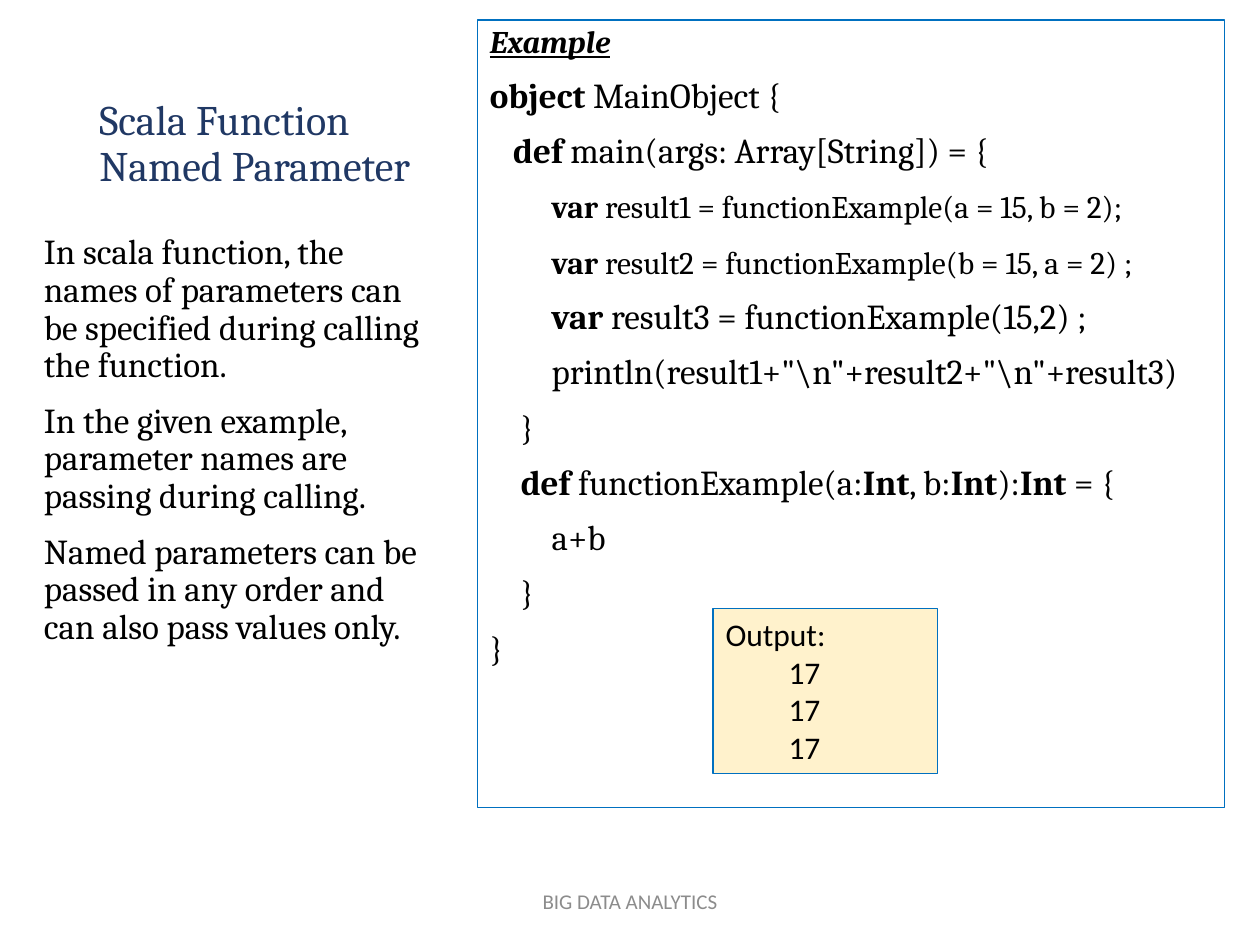
"""Build a slide on named parameters in Scala functions."""
import pptx
import pptx.dml.color
import pptx.enum.shapes
import pptx.enum.text
import pptx.util

Anchor = pptx.enum.text.MSO_ANCHOR
THEME = {
    "serif": "Cambria", "sans": "Calibri",
    "title": "203864", "ink": "000000", "muted": "8C8C8C",
    "border": "0070C0", "output": "FFF2CC",
    "title_size": 24, "body_size": 20, "small_size": 18, "footer_size": 12,
}

deck = pptx.Presentation()
deck.slide_width = pptx.util.Inches(10)
deck.slide_height = pptx.util.Inches(7.5)
page = deck.slides.add_slide(deck.slide_layouts[6])
column = deck.slide_width / 100
row = deck.slide_height / 75


def add_box(left, top, width, height, anchor=Anchor.TOP, bordered=False, fill=None):
    place = [int(left * column), int(top * row), int(width * column), int(height * row)]
    if bordered:
        box = page.shapes.add_shape(pptx.enum.shapes.MSO_SHAPE.RECTANGLE, *place)
        box.shadow.inherit = False
        box.line.color.rgb = pptx.dml.color.RGBColor.from_string(THEME["border"])
        box.line.width = pptx.util.Pt(0.75)
        box.fill.background()
        if fill:
            box.fill.solid()
            box.fill.fore_color.rgb = pptx.dml.color.RGBColor.from_string(THEME[fill])
    else:
        box = page.shapes.add_textbox(*place)
    box.text_frame.word_wrap = True
    box.text_frame.vertical_anchor = anchor
    return box


def style(box, face, size, color, line_spacing=1.0, space_before=0):
    for number, para in enumerate(box.text_frame.paragraphs):
        para.alignment = pptx.enum.text.PP_ALIGN.LEFT
        para.line_spacing = line_spacing
        para.space_before = pptx.util.Pt(space_before if number else 0)
        for span in para.runs:
            span.font.name = THEME[face]
            span.font.size = span.font.size or pptx.util.Pt(THEME[size])
            span.font.color.rgb = pptx.dml.color.RGBColor.from_string(THEME[color])


title = add_box(6.9, 5, 32.3, 10.6, Anchor.BOTTOM)
title.text_frame.text = "Scala Function Named Parameter"
style(title, "serif", "title_size", "title", 0.9)

CODE = [
    ("*object* MainObject {", "body_size"),
    ("   *def* main(args: Array[String]) = {", "body_size"),
    ("        *var* result1 = functionExample(a = 15, b = 2);", "small_size"),
    ("        *var* result2 = functionExample(b = 15, a = 2) ;", "small_size"),
    ("        *var* result3 = functionExample(15,2) ;", "body_size"),
    ('        println(result1+"\\n"+result2+"\\n"+result3)', "body_size"),
    ("    }", "body_size"),
    ("    *def *functionExample(a:*Int*, b:*Int*):*Int* = {", "body_size"),
    ("        a+b", "body_size"),
    ("    }", "body_size"),
    ("}", "body_size"),
]
example = add_box(37.9, 1.6, 59.3, 62.5, bordered=True)
example.text_frame.text = "Example"
heading = example.text_frame.paragraphs[0].runs[0].font
heading.size = pptx.util.Pt(THEME["small_size"])
heading.bold = heading.italic = heading.underline = True
for line, size in CODE:
    para = example.text_frame.add_paragraph()
    for position, piece in enumerate(line.split("*")):
        if piece:
            span = para.add_run()
            span.text = piece
            span.font.bold = position % 2 == 1
            span.font.size = pptx.util.Pt(THEME[size if piece.strip() else "body_size"])
    para.font.size = pptx.util.Pt(THEME["body_size"])
style(example, "serif", "body_size", "ink", 0.9, 10)

explanation = add_box(2.5, 18.1, 32.3, 41.7)
explanation.text_frame.text = "\n".join([
    "In scala function, the names of parameters can be specified during calling the function.",
    "In the given example, parameter names are passing during calling.",
    "Named parameters can be passed in any order and can also pass values only.",
])
style(explanation, "serif", "body_size", "ink", 0.9, 10)

output = add_box(56.6, 48.3, 17.8, 13.1, bordered=True, fill="output")
output.text_frame.text = "\n".join(["Output:", "17", "17", "17"])
style(output, "sans", "small_size", "ink")
for para in output.text_frame.paragraphs[1:]:
    para._p.get_or_add_pPr().set("marL", str(int(5 * column)))

footer = add_box(33.1, 69.5, 33.8, 4, Anchor.MIDDLE)
footer.text_frame.text = "BIG DATA ANALYTICS"
style(footer, "sans", "footer_size", "muted")
footer.text_frame.paragraphs[0].alignment = pptx.enum.text.PP_ALIGN.CENTER

deck.save("out.pptx")
